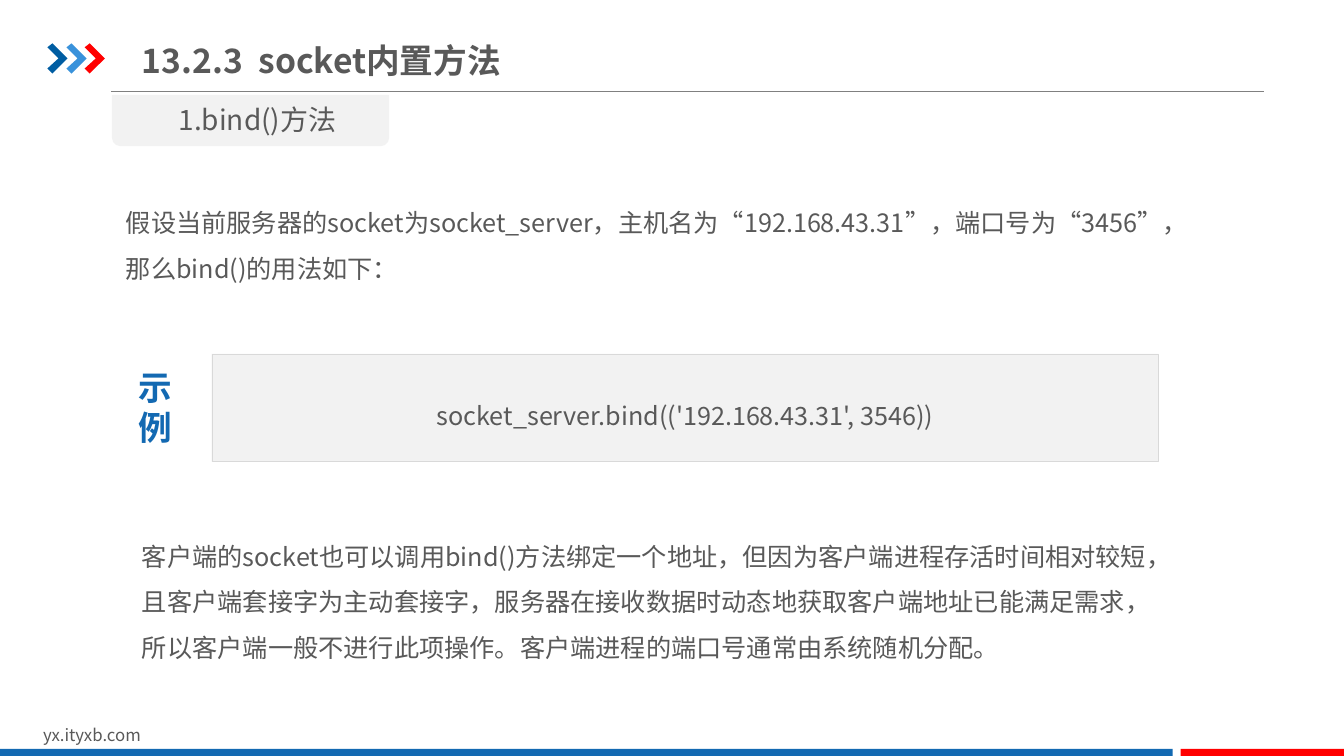
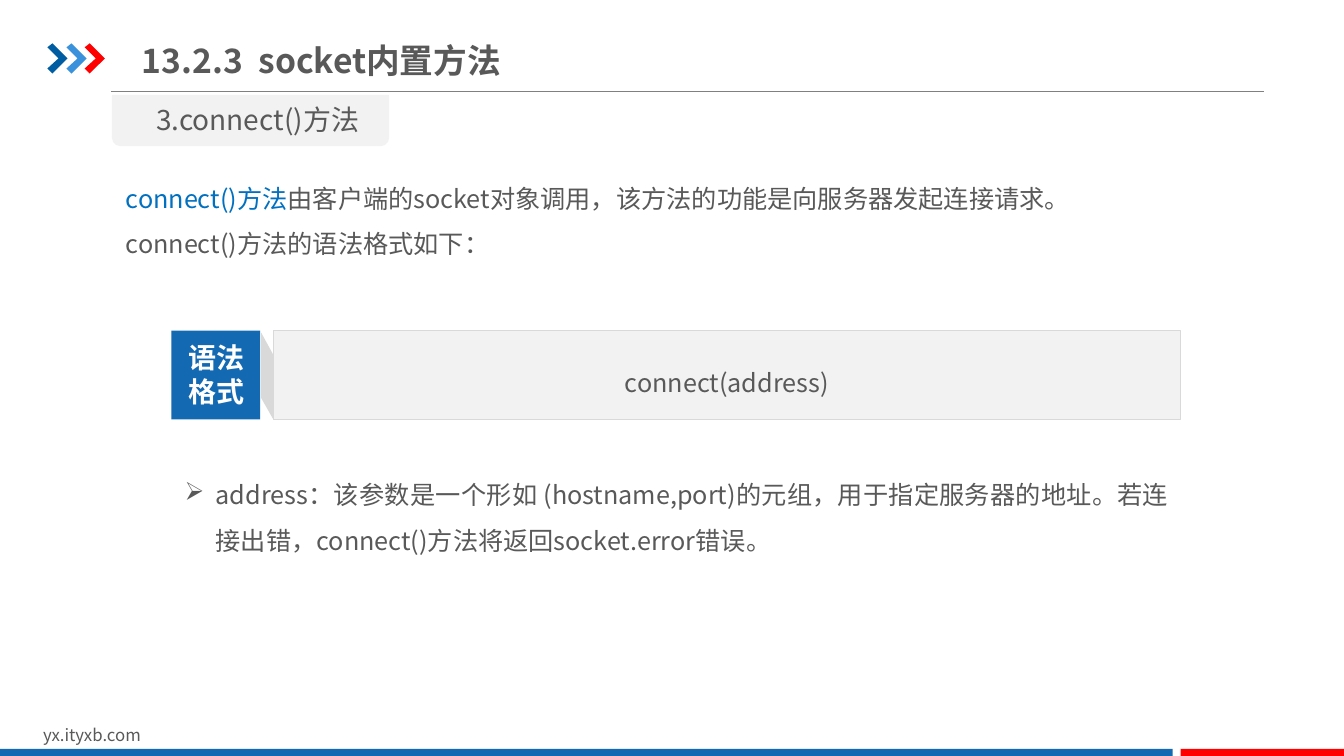
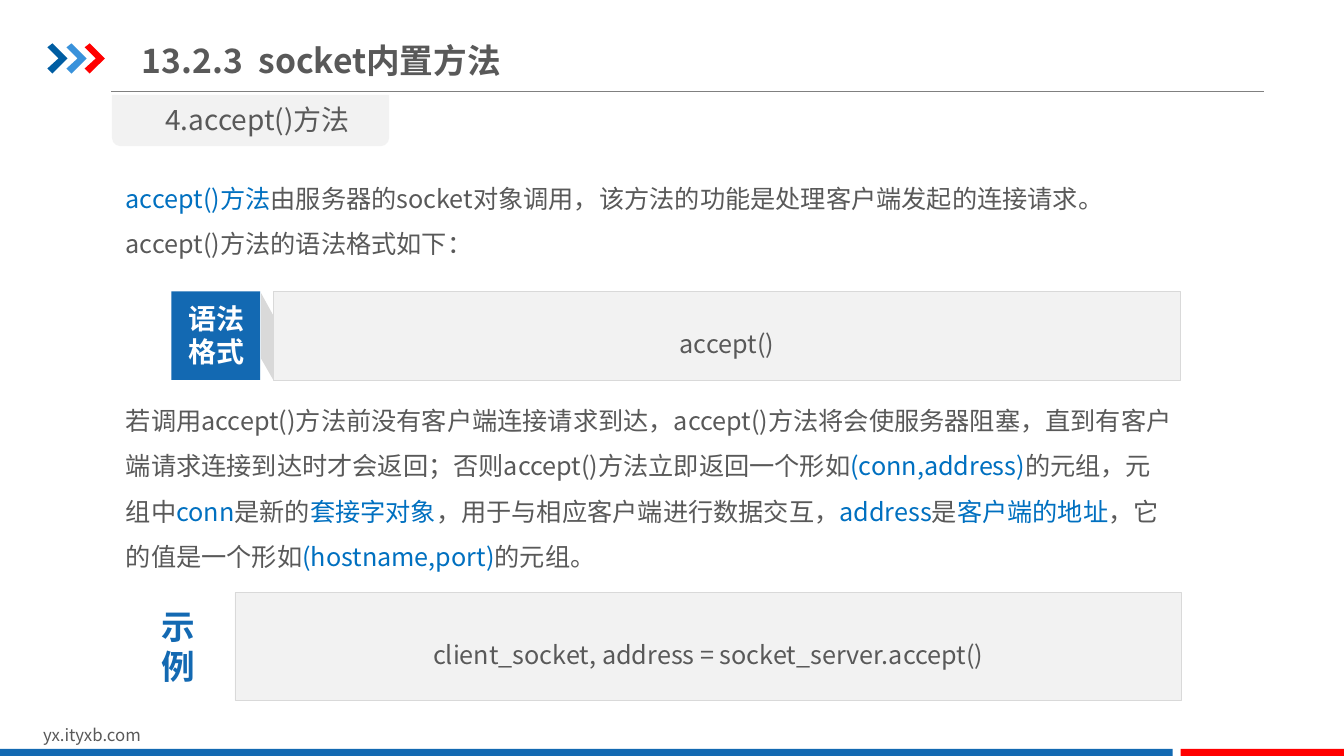
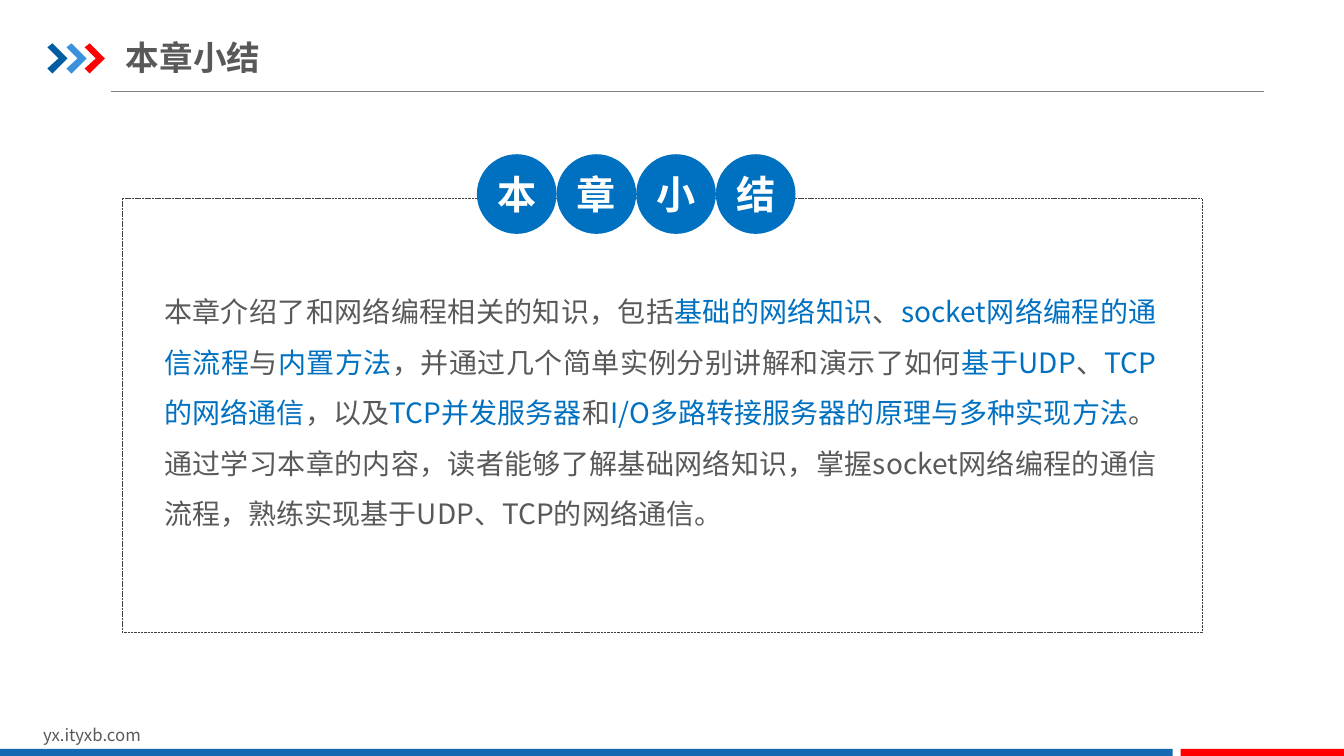
"""Build four slides on the built-in methods of sockets."""
import dataclasses
import typing

import lxml.etree
import pptx
import pptx.dml.color
import pptx.enum.dml
import pptx.enum.shapes
import pptx.enum.text
import pptx.oxml.ns
import pptx.shapes.autoshape
import pptx.slide
import pptx.text.text
import pptx.util

Inches = pptx.util.Inches
Shape = pptx.shapes.autoshape.Shape
Slide = pptx.slide.Slide
Preset = pptx.enum.shapes.MSO_SHAPE
Align = pptx.enum.text.PP_ALIGN
Anchor = pptx.enum.text.MSO_ANCHOR

FONT = "Noto Sans CJK SC"
GREY = "595959"
PALE = "F2F2F2"
BORDER = "D9D9D9"
BLUE = "1369B2"
ACCENT = "0070C0"
RED = "FF0000"
WHITE = "FFFFFF"

Point = tuple[float, float]


class Area(typing.NamedTuple):
    left: float
    top: float
    width: float
    height: float


@dataclasses.dataclass(frozen=True)
class Style:
    size: float
    color: str = GREY
    bold: bool = False
    align: Align = Align.LEFT
    spacing: float = 1.0
    anchor: Anchor = Anchor.TOP
    inset: Point = (0.1, 0.05)
    wrap: bool = True
    bullet: str = ""
    hanging: float = 0.0


TITLE = Style(24, bold=True, anchor=Anchor.MIDDLE)
FOOTER = Style(12)
TAB = Style(20, align=Align.CENTER)
BODY = Style(18, spacing=1.5)
CODE = Style(18, align=Align.CENTER, spacing=1.5, anchor=Anchor.MIDDLE)
EXAMPLE = Style(24, BLUE, True, Align.CENTER)
SYNTAX = Style(20, WHITE, True, Align.CENTER, wrap=False)
PARAMETER = Style(18, align=Align.JUSTIFY, spacing=1.5, inset=(0.13, 0.07),
                  bullet="➢", hanging=0.31)
SUMMARY = Style(20, align=Align.JUSTIFY, spacing=1.5, inset=(0, 0))
BADGE = Style(28, WHITE, True, Align.CENTER, anchor=Anchor.MIDDLE, inset=(0, 0))


def rgb(code: str) -> pptx.dml.color.RGBColor:
    return pptx.dml.color.RGBColor.from_string(code)


def apply(target: object, values: dict[str, object]) -> None:
    for name, value in values.items():
        setattr(target, name, value)


def place(area: Area) -> list[pptx.util.Length]:
    return [Inches(length) for length in area]


def add_element(parent: lxml.etree._Element, tag: str, **values: str) -> None:
    element = lxml.etree.SubElement(parent, pptx.oxml.ns.qn(tag))
    for name, value in values.items():
        element.set(name, value)


def add_span(para: pptx.text.text._Paragraph, text: str, style: Style, color: str) -> None:
    span = para.add_run()
    span.text = text
    apply(span.font, {"size": pptx.util.Pt(style.size), "bold": style.bold, "name": FONT})
    span.font.color.rgb = rgb(color)
    add_element(span.font._element, "a:ea", typeface=FONT)


def write(frame: pptx.text.text.TextFrame, text: str, style: Style) -> None:
    """Write one paragraph per line; text between bars takes the accent colour."""
    across, down = (Inches(length) for length in style.inset)
    apply(frame, {"word_wrap": style.wrap, "vertical_anchor": style.anchor,
                  "margin_left": across, "margin_right": across,
                  "margin_top": down, "margin_bottom": down})
    for index, line in enumerate(text.split("\n")):
        para = frame.add_paragraph() if index else frame.paragraphs[0]
        apply(para, {"alignment": style.align, "line_spacing": style.spacing})
        if style.bullet:
            properties = para._p.get_or_add_pPr()
            indent = Inches(style.hanging)
            properties.set("marL", str(indent))
            properties.set("indent", str(-indent))
            add_element(properties, "a:buChar", char=style.bullet)
        for position, part in enumerate(line.split("|")):
            if part:
                add_span(para, part, style, ACCENT if position % 2 else style.color)


def add_text(page: Slide, area: Area, text: str, style: Style) -> None:
    write(page.shapes.add_textbox(*place(area)).text_frame, text, style)


def paint(shape: Shape, fill: str) -> None:
    shape.shadow.inherit = False
    shape.line.fill.background()
    shape.fill.solid()
    shape.fill.fore_color.rgb = rgb(fill)


def add_block(page: Slide, area: Area, fill: str, preset: Preset = Preset.RECTANGLE) -> Shape:
    block = page.shapes.add_shape(preset, *place(area))
    paint(block, fill)
    return block


def add_outline(page: Slide, points: list[Point], fill: str) -> None:
    start, *others = [(Inches(x), Inches(y)) for x, y in points]
    builder = page.shapes.build_freeform(*start)
    builder.add_line_segments(others)
    paint(builder.convert_to_shape(), fill)


def add_code(page: Slide, area: Area, code: str) -> None:
    box = add_block(page, area, PALE)
    box.line.color.rgb = rgb(BORDER)
    box.line.width = pptx.util.Pt(0.25)
    write(box.text_frame, code, CODE)


def add_example(page: Slide, left: float, top: float, code: str) -> None:
    add_code(page, Area(left, top, 9.39, 1.07), code)
    add_text(page, Area(left - 0.99, top + 0.08, 0.86, 0.96), "示\n例", EXAMPLE)


def add_syntax(page: Slide, top: float, code: str) -> None:
    add_code(page, Area(2.71, top, 9, 0.88), code)
    add_block(page, Area(1.7, top, 0.88, 0.88), BLUE)
    add_text(page, Area(1.77, top + 0.05, 0.76, 0.77), "语法\n格式", SYNTAX)
    fold = [(2.71, 0.24), (2.71, 0.88), (2.59, 0.67), (2.59, 0.02)]
    add_outline(page, [(x, top + y) for x, y in fold], BORDER)


def add_page(deck: pptx.presentation.Presentation) -> Slide:
    """Add a page with the shared rule, chevrons and footer."""
    page = deck.slides.add_slide(deck.slide_layouts[6])
    rule = page.shapes.add_connector(pptx.enum.shapes.MSO_CONNECTOR.STRAIGHT,
                                     Inches(1.1), Inches(0.91), Inches(12.54), Inches(0.91))
    rule.line.color.rgb = rgb("808080")
    rule.line.width = pptx.util.Pt(0.75)
    add_element(rule._element.spPr, "a:effectLst")
    chevron = [(0, 0.47), (0.05, 0.43), (0.2, 0.58), (0.05, 0.73), (0, 0.68), (0.11, 0.58)]
    for left, color in ((0.47, "005DA2"), (0.66, "3992DB"), (0.84, RED)):
        add_outline(page, [(left + x, y) for x, y in chevron], color)
    add_text(page, Area(0.33, 7.14, 3.18, 0.3), "yx.ityxb.com", FOOTER)
    add_block(page, Area(0, 7.43, 11.63, 0.09), BLUE)
    add_block(page, Area(11.71, 7.43, 1.63, 0.09), RED)
    return page


def add_method_page(deck: pptx.presentation.Presentation, method: str) -> Slide:
    page = add_page(deck)
    add_text(page, Area(1.31, 0.29, 5.41, 0.61), "13.2.3  socket内置方法", TITLE)
    tab = add_block(page, Area(1.11, 0.94, 2.75, 0.51), PALE, Preset.ROUND_2_SAME_RECTANGLE)
    tab.rotation = 180
    add_text(page, Area(1.11, 0.97, 2.89, 0.44), method, TAB)
    return page


def build_bind(deck: pptx.presentation.Presentation) -> None:
    page = add_method_page(deck, "1.bind()方法")
    add_text(page, Area(1.15, 1.86, 10.57, 1.08),
             "假设当前服务器的socket为socket_server，主机名为“192.168.43.31”，"
             "端口号为“3456”，那么bind()的用法如下：", BODY)
    add_example(page, 2.1, 3.51, "socket_server.bind(('192.168.43.31', 3546))")
    add_text(page, Area(1.31, 5.17, 10.41, 1.46),
             "客户端的socket也可以调用bind()方法绑定一个地址，但因为客户端进程存活时间相对较短，"
             "且客户端套接字为主动套接字，服务器在接收数据时动态地获取客户端地址已能满足需求，"
             "所以客户端一般不进行此项操作。客户端进程的端口号通常由系统随机分配。", BODY)


def build_connect(deck: pptx.presentation.Presentation) -> None:
    page = add_method_page(deck, "3.connect()方法")
    add_text(page, Area(1.15, 1.62, 10.57, 1.08),
             "|connect()方法|由客户端的socket对象调用，该方法的功能是向服务器发起连接请求。"
             "connect()方法的语法格式如下：", BODY)
    add_syntax(page, 3.28, "connect(address)")
    add_text(page, Area(1.7, 4.54, 10.02, 1.04),
             "address：该参数是一个形如 (hostname,port)的元组，用于指定服务器的地址。"
             "若连接出错，connect()方法将返回socket.error错误。", PARAMETER)


def build_accept(deck: pptx.presentation.Presentation) -> None:
    page = add_method_page(deck, "4.accept()方法")
    add_text(page, Area(1.15, 1.62, 10.57, 1.08),
             "|accept()方法|由服务器的socket对象调用，该方法的功能是处理客户端发起的连接请求。"
             "accept()方法的语法格式如下：", BODY)
    add_syntax(page, 2.89, "accept()")
    add_text(page, Area(1.15, 3.82, 10.57, 2.11),
             "若调用accept()方法前没有客户端连接请求到达，accept()方法将会使服务器阻塞，"
             "直到有客户端请求连接到达时才会返回；否则accept()方法立即返回一个形如"
             "|(conn,address)|的元组，元组中|conn|是新的|套接字对象|，"
             "用于与相应客户端进行数据交互，|address|是|客户端的地址|，"
             "它的值是一个形如|(hostname,port)|的元组。", BODY)
    add_example(page, 2.33, 5.88, "client_socket, address = socket_server.accept()")


def build_summary(deck: pptx.presentation.Presentation) -> None:
    page = add_page(deck)
    heading = "本章小结"
    add_text(page, Area(1.25, 0.29, 6.2, 0.55), heading,
             dataclasses.replace(TITLE, inset=(0, 0.07)))
    border = add_block(page, Area(1.21, 1.97, 10.71, 4.3), WHITE)
    border.fill.background()
    border.line.color.rgb = rgb("404040")
    apply(border.line, {"width": pptx.util.Pt(0.25),
                        "dash_style": pptx.enum.dml.MSO_LINE.SQUARE_DOT})
    add_text(page, Area(1.63, 2.76, 9.84, 2.52),
             "本章介绍了和网络编程相关的知识，包括|基础的网络知识|、|socket网络编程的通信流程|与"
             "|内置方法|，并通过几个简单实例分别讲解和演示了如何|基于UDP|、|TCP的网络通信|，以及"
             "|TCP并发服务器|和|I/O多路转接服务器的原理与多种实现方法|。"
             "通过学习本章的内容，读者能够了解基础网络知识，掌握socket网络编程的通信流程，"
             "熟练实现基于UDP、TCP的网络通信。", SUMMARY)
    diameter = 0.79
    for index, character in enumerate(heading):
        area = Area(4.73 + index * diameter, 1.53, diameter, diameter)
        badge = add_block(page, area, ACCENT, Preset.OVAL)
        write(badge.text_frame, character, BADGE)


def main() -> None:
    deck = pptx.Presentation()
    apply(deck, {"slide_width": Inches(13.33), "slide_height": Inches(7.5)})
    for build in (build_bind, build_connect, build_accept, build_summary):
        build(deck)
    deck.save("out.pptx")


if __name__ == "__main__":
    main()
